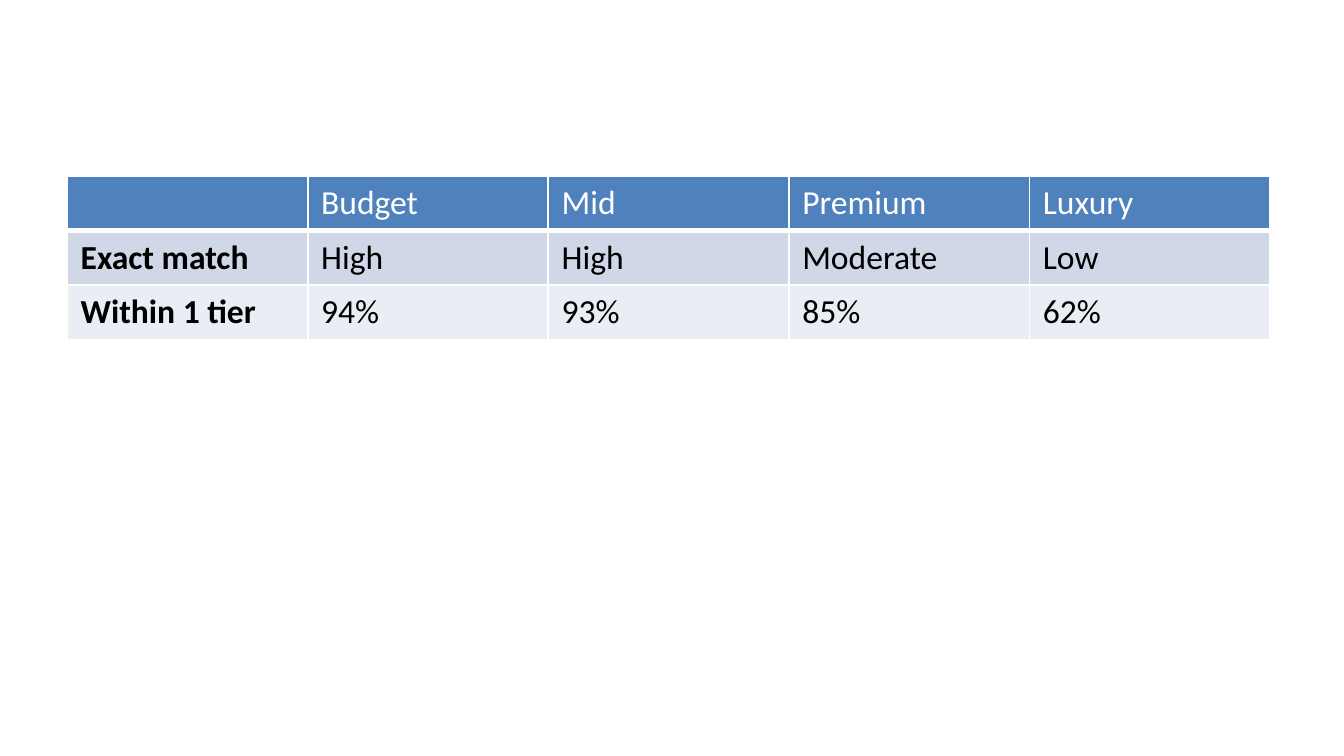
import pptx
import pptx.dml.color
import pptx.oxml
import pptx.oxml.ns
import pptx.util

WHITE = pptx.dml.color.RGBColor(0xFF, 0xFF, 0xFF)
BLACK = pptx.dml.color.RGBColor(0x00, 0x00, 0x00)
HEADER_BLUE = pptx.dml.color.RGBColor(0x4F, 0x81, 0xBD)
BAND_DARK = pptx.dml.color.RGBColor(0xD0, 0xD8, 0xE8)
BAND_LIGHT = pptx.dml.color.RGBColor(0xE9, 0xED, 0xF4)

accuracy = [
    ["", "Budget", "Mid", "Premium", "Luxury"],
    ["Exact match", "High", "High", "Moderate", "Low"],
    ["Within 1 tier", "94%", "93%", "85%", "62%"],
]
row_fills = [HEADER_BLUE, BAND_DARK, BAND_LIGHT]


def add_border(cell, side, points):
    line = pptx.oxml.parse_xml(
        f'<a:ln{side} {pptx.oxml.ns.nsdecls("a")} w="{pptx.util.Pt(points)}">'
        f'<a:solidFill><a:srgbClr val="{WHITE}"/></a:solidFill></a:ln{side}>'
    )
    cell._tc.get_or_add_tcPr().append(line)


deck = pptx.Presentation()
deck.slide_width = pptx.util.Inches(10)
deck.slide_height = deck.slide_width * 9 // 16
slide = deck.slides.add_slide(deck.slide_layouts[6])

table_width = int(deck.slide_width * 0.9)
table_height = int(deck.slide_height * 0.66)
tier_frame = slide.shapes.add_table(
    len(accuracy), len(accuracy[0]),
    int(deck.slide_width * 0.05), pptx.util.Inches(1.31),
    table_width, table_height,
)
tiers = tier_frame.table
for column in tiers.columns:
    column.width = pptx.util.Inches(1.79)
for row in tiers.rows:
    row.height = 0
tier_frame.width = table_width
tier_frame.height = table_height

for r, (labels, fill) in enumerate(zip(accuracy, row_fills)):
    for c, label in enumerate(labels):
        cell = tiers.cell(r, c)
        for side in "LRTB":
            add_border(cell, side, 3 if r == 0 and side == "B" else 1)
        cell.fill.solid()
        cell.fill.fore_color.rgb = fill
        cell.text_frame.text = label
        for run in cell.text_frame.paragraphs[0].runs:
            run.font.name = "Calibri"
            run.font.size = pptx.util.Pt(18)
            run.font.bold = r > 0 and c == 0
            run.font.color.rgb = BLACK if r else WHITE

deck.save("out.pptx")
